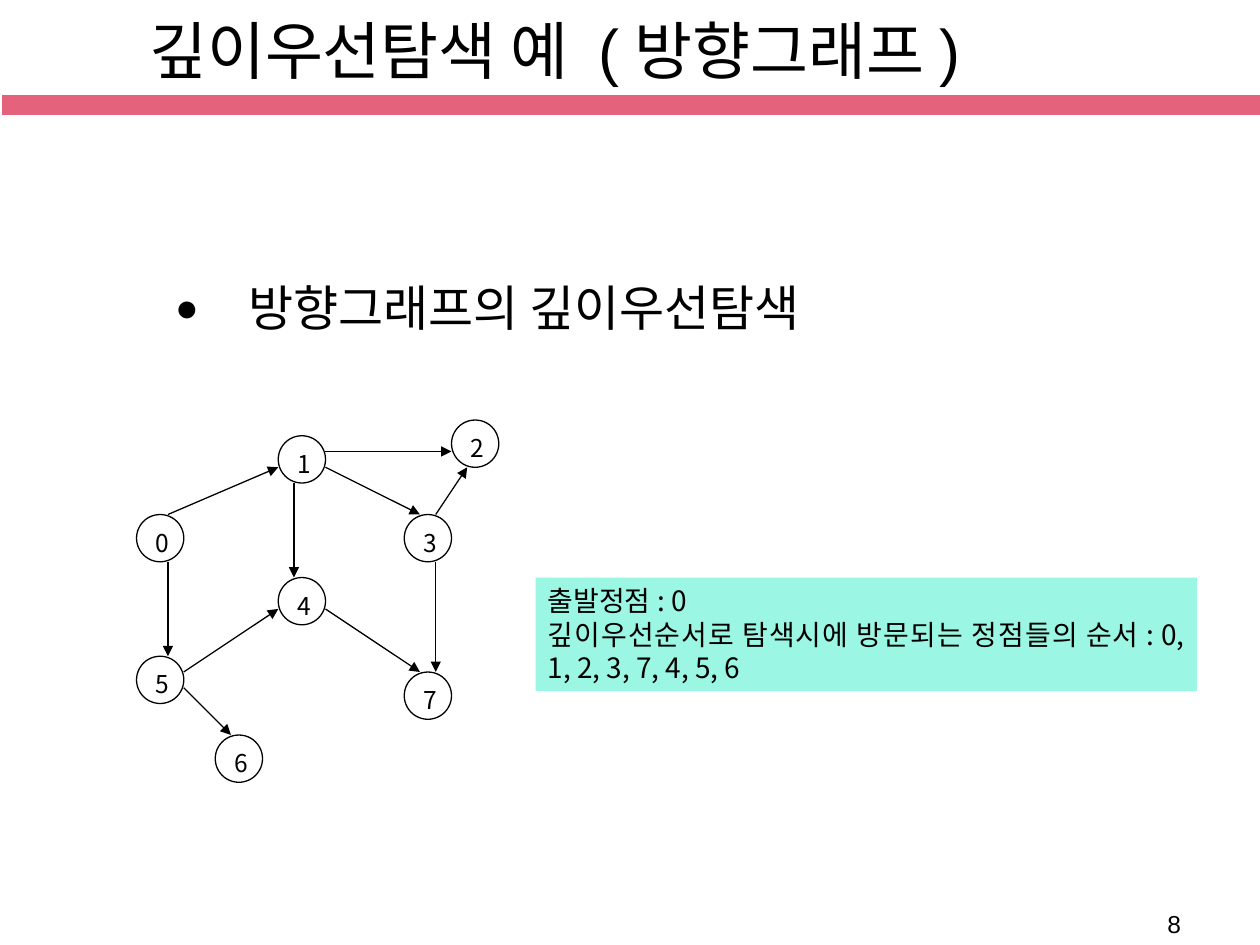
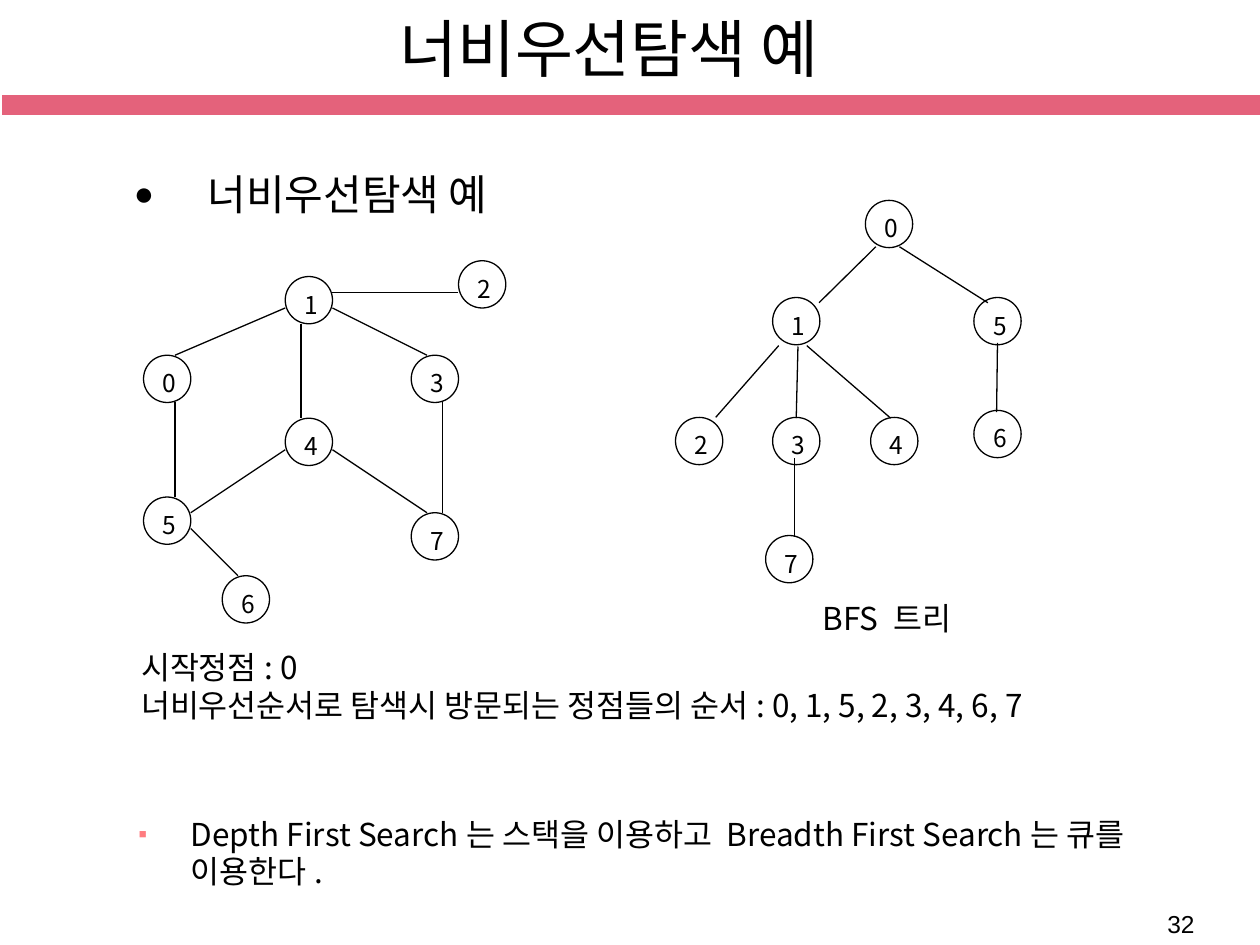
"""Build two slides on depth-first and breadth-first graph search."""
from lxml.etree import SubElement
from pptx import Presentation
from pptx.dml.color import RGBColor
from pptx.enum.shapes import MSO_CONNECTOR, MSO_SHAPE
from pptx.enum.text import MSO_ANCHOR, PP_ALIGN
from pptx.oxml.ns import qn
from pptx.util import Pt

COLORS = {"ink": "000000", "paper": "FFFFFF", "band": "E4627B",
          "answer": "9BF7E3", "square": "FF7C80"}
HEAD, SANS, SERIF = "Arial", "Noto Sans CJK KR", "Times New Roman"
NODE = 27
STEP = 9

GRAPH_NODES = {0: (0, 6), 1: (9, 1), 2: (20, 0), 3: (17, 6),
               4: (9, 10), 5: (0, 15), 6: (5, 20), 7: (17, 16)}
GRAPH_EDGES = {
    (0, 5): ((2, 9), (2, 15)),
    (0, 1): ((2, 6), (9, 3)),
    (1, 4): ((10, 4), (10, 10)),
    (5, 4): ((3, 16), (9, 12)),
    (5, 6): ((3, 17), (6, 20)),
    (4, 7): ((12, 12), (18, 16)),
    (1, 3): ((12, 3), (18, 6)),
    (3, 7): ((19, 9), (19, 16)),
    (1, 2): ((12, 2), (20, 2)),
    (3, 2): ((19, 6), (21, 3)),
}
TREE_NODES = {0: (494.5, 114.5), 1: (441.5, 170), 5: (556.5, 170),
              2: (386, 238.5), 3: (441.5, 238.5), 4: (497.5, 238.5),
              6: (556.5, 234.5), 7: (437.5, 306)}
TREE_EDGES = {
    (0, 5): ((514, 141), (564.5, 173)),
    (0, 1): ((500.5, 141), (468, 173)),
    (3, 7): ((454, 262), (454, 307)),
    (1, 4): ((461, 197.5), (509, 239)),
    (5, 6): ((570, 196), (569.5, 235.5)),
    (1, 2): ((445, 197.5), (409, 238.5)),
    (1, 3): ((456, 198), (455, 239)),
}

DEPTH = {
    "title": "깊이우선탐색 예 (방향그래프)", "title_at": (78, 1, 560, 54),
    "title_align": PP_ALIGN.LEFT, "page": "8",
    "topic": "방향그래프의 깊이우선탐색", "topic_at": (93, 159, 612, 39),
    "topic_size": 28, "topic_spacing": 0.9,
    "graph_at": (78, 240), "directed": True,
}
DEPTH_ANSWER = [
    [("출발정점: 0", SANS)],
    [("깊이우선순서로 탐색시에 방문되는", SERIF), (" 정점", SANS),
     ("들의 순서", SERIF), (": 0, 1, 2, 3, 7, 4, 5, 6", SANS)],
]
BREADTH = {
    "title": "너비우선탐색 예", "title_at": (111, 0, 474, 54),
    "title_align": PP_ALIGN.CENTER, "page": "32",
    "topic": "너비우선탐색 예", "topic_at": (69.5, 93, 585, 45),
    "topic_size": 24, "topic_spacing": 1.0,
    "graph_at": (82, 149), "directed": False,
}
BREADTH_ANSWER = [
    [("시작정점: 0", SANS)],
    [("너비우선순서로 탐색시 방문되는", SERIF), (" 정점", SANS),
     ("들의 순서", SERIF), (": 0, 1, 5, 2, 3, 4, 6, 7", SANS)],
]
TREE_LABEL = [[("BFS 트리", SANS)]]
SUMMARY = [
    [("Depth First Search", SANS), ("는 스택을 이용하고 ", SERIF),
     ("Breadth First Search", SANS), ("는 큐를 이용한다", SERIF), (".", SANS)],
]


def rgb(name):
    return RGBColor.from_string(COLORS[name])


def points(lengths):
    return [Pt(length) for length in lengths]


def format_run(run, size, face):
    run.font.size = Pt(size)
    run.font.name = face
    run.font.color.rgb = rgb("ink")
    east_asian = SubElement(run.font._element, qn("a:ea"))
    east_asian.set("typeface", SANS)


def write(frame, paragraphs, size, align=PP_ALIGN.LEFT):
    frame.word_wrap = True
    frame.vertical_anchor = MSO_ANCHOR.TOP
    for index, pieces in enumerate(paragraphs):
        paragraph = frame.add_paragraph() if index else frame.paragraphs[0]
        paragraph.alignment = align
        for text, face in pieces:
            run = paragraph.add_run()
            run.text = text
            format_run(run, size, face)


def add_bullet(paragraph, mark, color, hang):
    properties = paragraph._p.get_or_add_pPr()
    properties.set("marL", str(Pt(hang)))
    properties.set("indent", str(-Pt(hang)))
    tint = SubElement(properties, qn("a:buClr"))
    SubElement(tint, qn("a:srgbClr")).set("val", COLORS[color])
    SubElement(properties, qn("a:buSzPct")).set("val", "80000")
    SubElement(properties, qn("a:buFont")).set("typeface", HEAD)
    SubElement(properties, qn("a:buChar")).set("char", mark)


def add_filled(slide, preset, at, fill, line=None, width=0.75):
    shape = slide.shapes.add_shape(preset, *points(at))
    shape.shadow.inherit = False
    shape.fill.solid()
    shape.fill.fore_color.rgb = rgb(fill)
    if line:
        shape.line.color.rgb = rgb(line)
        shape.line.width = Pt(width)
    else:
        shape.line.fill.background()
    return shape


def add_note(slide, at, fill, paragraphs, size):
    note = add_filled(slide, MSO_SHAPE.RECTANGLE, at, fill)
    write(note.text_frame, paragraphs, size, PP_ALIGN.JUSTIFY)


def add_edge(slide, start, end, directed):
    edge = slide.shapes.add_connector(MSO_CONNECTOR.STRAIGHT, *points(start + end))
    edge.line.color.rgb = rgb("ink")
    edge.line.width = Pt(0.75)
    if directed:
        SubElement(edge.line._get_or_add_ln(), qn("a:tailEnd")).set("type", "triangle")
    SubElement(edge._element.spPr, qn("a:effectLst"))


def draw_graph(slide, nodes, edges, directed=False):
    for label, corner in nodes.items():
        node = add_filled(slide, MSO_SHAPE.OVAL, (*corner, NODE, NODE), "paper", "ink")
        write(node.text_frame, [[(str(label), SANS)]], 14, PP_ALIGN.JUSTIFY)
    for start, end in edges.values():
        add_edge(slide, start, end, directed)


def on_grid(origin, cell):
    return tuple(base + STEP * count for base, count in zip(origin, cell))


def add_search_slide(deck, content):
    slide = deck.slides.add_slide(deck.slide_layouts[5])
    add_filled(slide, MSO_SHAPE.RECTANGLE, (0.5, 54, 720, 12.5), "band", "paper", 1)
    page = slide.shapes.add_textbox(*points((660, 516, 41, 24.5)))
    write(page.text_frame, [[(content["page"], HEAD)]], 14)

    title = slide.shapes.title
    title.left, title.top, title.width, title.height = points(content["title_at"])
    title.text_frame.text = content["title"]
    title.text_frame.word_wrap = True
    title.text_frame.vertical_anchor = MSO_ANCHOR.MIDDLE
    heading = title.text_frame.paragraphs[0]
    heading.alignment = content["title_align"]
    format_run(heading.runs[0], 36, HEAD)

    topic = slide.shapes.add_textbox(*points(content["topic_at"]))
    write(topic.text_frame, [[(content["topic"], HEAD)]], content["topic_size"])
    paragraph = topic.text_frame.paragraphs[0]
    paragraph.line_spacing = content["topic_spacing"]
    add_bullet(paragraph, "●", "ink", 42)

    origin, directed = content["graph_at"], content["directed"]
    nodes = {label: on_grid(origin, cell) for label, cell in GRAPH_NODES.items()}
    edges = {pair: [on_grid(origin, cell) for cell in ends]
             for pair, ends in GRAPH_EDGES.items() if directed or pair != (3, 2)}
    draw_graph(slide, nodes, edges, directed)
    return slide


def main():
    deck = Presentation()
    deck.slide_width, deck.slide_height = Pt(720), Pt(540)

    depth = add_search_slide(deck, DEPTH)
    add_note(depth, (306, 330, 378, 65), "answer", DEPTH_ANSWER, 16)

    breadth = add_search_slide(deck, BREADTH)
    add_note(breadth, (73.5, 367, 600, 50.5), "paper", BREADTH_ANSWER, 18)
    summary = breadth.shapes.add_textbox(*points((72, 462, 600, 50.5)))
    write(summary.text_frame, SUMMARY, 18)
    add_bullet(summary.text_frame.paragraphs[0], "▪", "square", 30)
    add_note(breadth, (463, 338.5, 153, 29), "paper", TREE_LABEL, 18)
    draw_graph(breadth, TREE_NODES, TREE_EDGES)

    deck.save("out.pptx")


if __name__ == "__main__":
    main()
